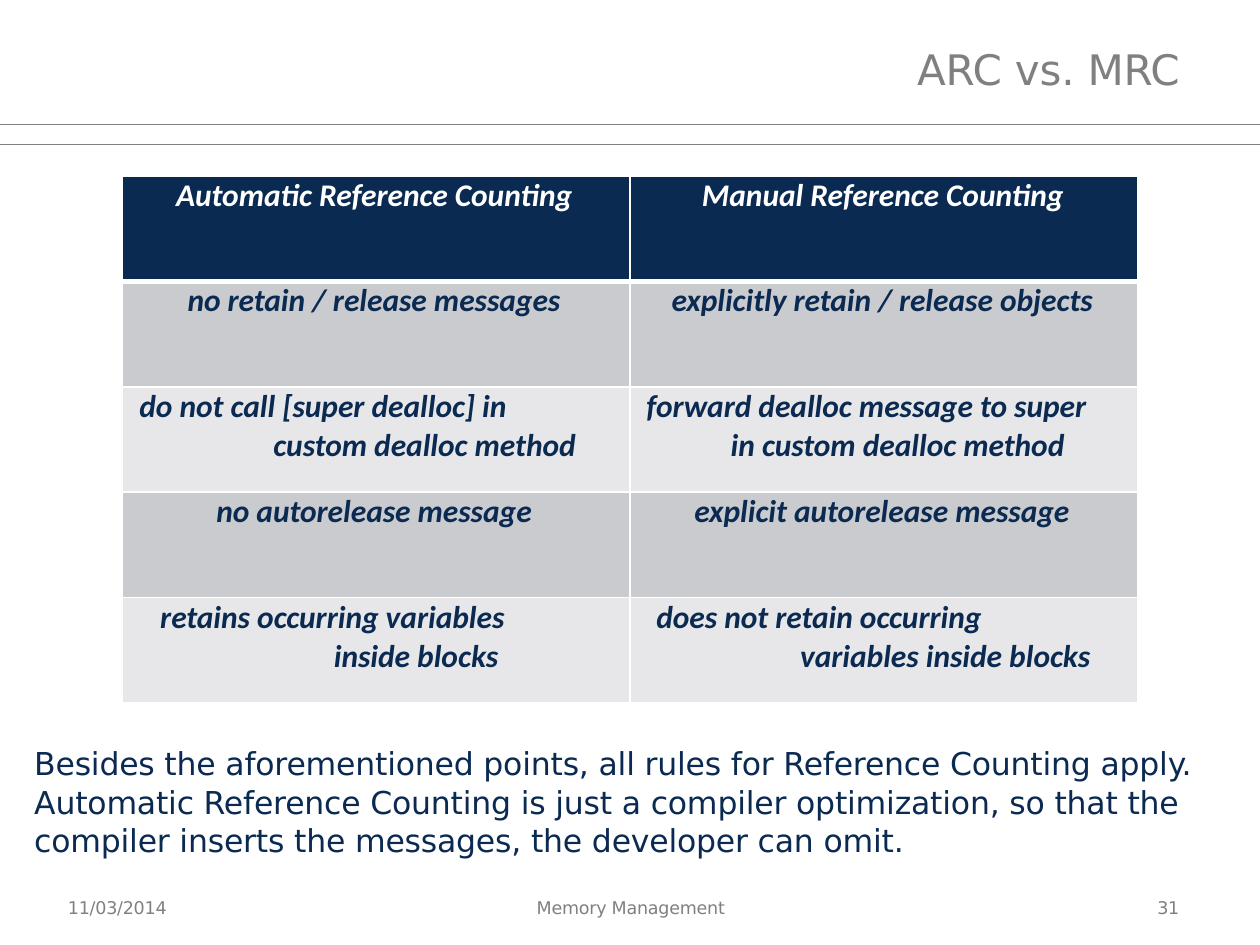
from lxml.etree import SubElement
from pptx import Presentation
from pptx.dml.color import RGBColor
from pptx.enum.shapes import MSO_CONNECTOR
from pptx.enum.text import MSO_ANCHOR, MSO_AUTO_SIZE
from pptx.oxml import parse_xml
from pptx.oxml.ns import nsdecls, qn
from pptx.util import Cm, Pt

COLORS = {
    "navy": "0B2A51",
    "gray": "808080",
    "white": "FFFFFF",
    "dark_band": "CACBCF",
    "light_band": "E7E7E9",
}
BODY_FONT = "DejaVu Sans"
TABLE_FONT = "Calibri"

# Each cell: text, left margin, first-line indent, right margin (cm)
TABLE_ROWS = [
    [("Automatic Reference Counting", 1.09, 0, 0),
     ("Manual Reference Counting", 1.45, 0, 0)],
    [("no retain / release messages", 1.32, 0, 0),
     ("explicitly retain / release objects", 0.84, 0, 0)],
    [("do not call [super dealloc] in custom dealloc method", 3.05, -2.7, 0.75),
     ("forward dealloc message to super in custom dealloc method", 2.03, -1.7, 0.75)],
    [("no autorelease message", 1.9, 0, 0),
     ("explicit autorelease message", 1.3, 0, 0)],
    [("retains occurring variables inside blocks", 4.27, -3.5, 1.5),
     ("does not retain occurring variables inside blocks", 3.43, -2.9, 0.75)],
]
BODY_TEXT = (
    "Besides the aforementioned points, all rules for Reference Counting apply. "
    "Automatic Reference Counting is just a compiler optimization, so that the "
    "compiler inserts the messages, the developer can omit."
)


def color(name):
    return RGBColor.from_string(COLORS[name])


def write_text(frame, text, size=18, font=BODY_FONT, color_name="navy", bold=False,
               italic=False, left=0, indent=0, line_spacing=None, spacing=-0.1):
    """Fill a text frame with one formatted paragraph; indents in cm."""
    frame.word_wrap = True
    paragraph = frame.paragraphs[0]
    properties = paragraph._p.get_or_add_pPr()
    properties.set("marL", str(Cm(left)))
    properties.set("indent", str(Cm(indent)))
    properties.set("algn", "l")
    if line_spacing:
        paragraph.line_spacing = line_spacing
    run = paragraph.add_run()
    run.text = text
    run.font.size = Pt(size)
    run.font.name = font
    run.font.bold = bold
    run.font.italic = italic
    run.font.color.rgb = color(color_name)
    run._r.get_or_add_rPr().set("spc", str(round(spacing * 100)))


def place_text(shape, box, text, **text_format):
    shape.left, shape.top, shape.width, shape.height = (Cm(value) for value in box)
    frame = shape.text_frame
    frame.margin_left = frame.margin_right = frame.margin_top = frame.margin_bottom = 0
    frame.vertical_anchor = MSO_ANCHOR.TOP
    frame.auto_size = MSO_AUTO_SIZE.NONE
    write_text(frame, text, **text_format)


def add_text(slide, box, text, **text_format):
    place_text(slide.shapes.add_textbox(0, 0, 0, 0), box, text, **text_format)


def add_header(slide, box):
    """Title at the right, above two thin rules across the slide."""
    left, top, width, height = box
    for offset in (2.51, 2.92):
        rule = slide.shapes.add_connector(
            MSO_CONNECTOR.STRAIGHT, Cm(left), Cm(top + offset),
            Cm(left + width), Cm(top + offset))
        rule.line.color.rgb = color("gray")
        rule.line.width = Pt(0.5)
        SubElement(rule._element.spPr, qn("a:effectLst"))
    place_text(slide.shapes.title, (left + 1.4, top + 0.87, 22.63, 0.92),
               "ARC vs. MRC", size=24, color_name="gray", left=17.09)


def set_borders(cell, widths):
    """Draw white borders; widths in points, keyed by side letter."""
    properties = cell._tc.get_or_add_tcPr()
    for position, side in enumerate("LRTB"):
        properties.insert(position, parse_xml(
            f'<a:ln{side} {nsdecls("a")} w="{Pt(widths[side])}"><a:solidFill>'
            f'<a:srgbClr val="{COLORS["white"]}"/></a:solidFill></a:ln{side}>'))


def add_comparison_table(slide, box):
    left, top, width, height = (Cm(value) for value in box)
    row_count, column_count = len(TABLE_ROWS), len(TABLE_ROWS[0])
    table = slide.shapes.add_table(
        row_count, column_count, left, top, width, height).table
    table.first_row = table.horz_banding = False
    for row_index, row in enumerate(TABLE_ROWS):
        is_header = row_index == 0
        band = "dark_band" if row_index % 2 else "light_band"
        for column_index, (text, margin, indent, right) in enumerate(row):
            cell = table.cell(row_index, column_index)
            cell.margin_left = cell.margin_top = cell.margin_bottom = 0
            cell.margin_right = Cm(right)
            cell.vertical_anchor = MSO_ANCHOR.TOP
            cell.fill.solid()
            cell.fill.fore_color.rgb = color("navy" if is_header else band)
            set_borders(cell, {"L": 1, "R": 1, "T": 3 if row_index == 1 else 1,
                               "B": 3 if is_header else 1})
            write_text(cell.text_frame, text, font=TABLE_FONT, bold=True, italic=True,
                       color_name="white" if is_header else "navy",
                       left=margin, indent=indent, spacing=-0.04,
                       line_spacing=1.02 if indent else None)


def add_footer(slide, box):
    """Date, topic and page number along one line."""
    left, top, width, height = box
    for offset, part_width, text in (
            (0, 2.3, "11/03/2014"),
            (9.45, 4.1, "Memory Management"),
            (21.96, 0.8, "31")):
        add_text(slide, (left + offset, top, part_width, height), text,
                 size=10, color_name="gray")


def main():
    presentation = Presentation()
    presentation.slide_width, presentation.slide_height = Cm(25.4), Cm(19.05)
    slide = presentation.slides.add_slide(presentation.slide_layouts[5])
    add_header(slide, (0, 0, 25.4, 3))
    add_comparison_table(slide, (2.46, 3.56, 20.48, 10.6))
    add_text(slide, (0.69, 14.99, 23.5, 2.26), BODY_TEXT, line_spacing=1.02)
    add_footer(slide, (1.37, 18.08, 22.7, 0.43))
    presentation.save("out.pptx")


if __name__ == "__main__":
    main()
